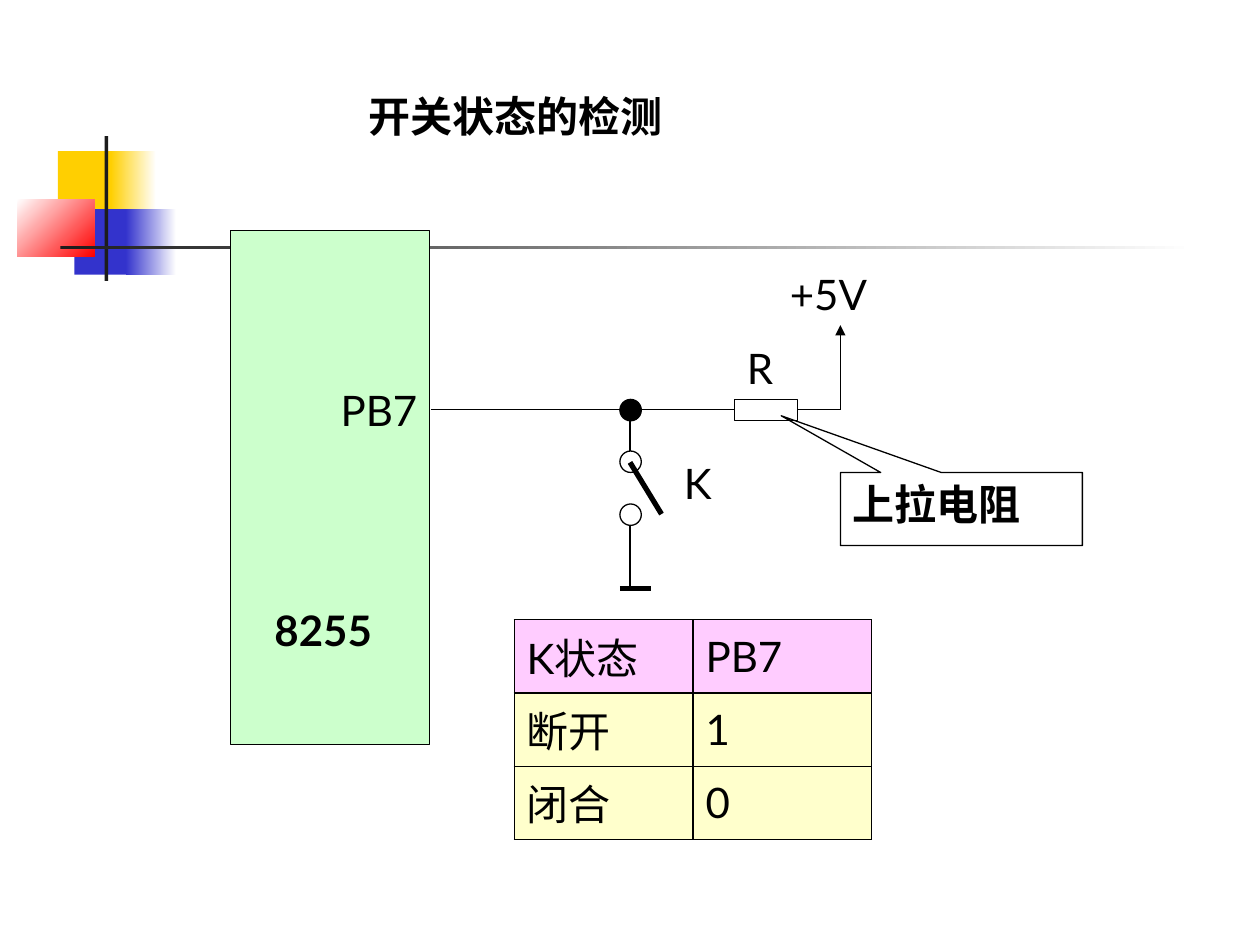
from lxml import etree
from pptx import Presentation
from pptx.dml.color import RGBColor
from pptx.enum import shapes, text
from pptx.oxml import parse_xml
from pptx.oxml.ns import nsdecls, qn
from pptx.util import Inches, Pt

BLACK = RGBColor(0x00, 0x00, 0x00)
WHITE = RGBColor(0xFF, 0xFF, 0xFF)
CHARCOAL = RGBColor(0x1C, 0x1C, 0x1C)
GOLD = RGBColor(0xFF, 0xCF, 0x01)
BLUE = RGBColor(0x33, 0x33, 0xCC)
RED = RGBColor(0xFF, 0x00, 0x00)
GREEN = RGBColor(0xCC, 0xFF, 0xCC)
PINK = RGBColor(0xFF, 0xCC, 0xFF)
CREAM = RGBColor(0xFF, 0xFF, 0xCC)
SHAPE = shapes.MSO_SHAPE
WIRE, THICK = 0.75, 3

presentation = Presentation()
presentation.slide_width = Inches(10)
presentation.slide_height = Inches(7.5)
slide = presentation.slides.add_slide(presentation.slide_layouts[6])


def add_outlined(kind, box, fill=None):
    shape = slide.shapes.add_shape(kind, *map(Inches, box))
    shape.shadow.inherit = False
    if fill is None:
        shape.fill.background()
    else:
        shape.fill.solid()
        shape.fill.fore_color.rgb = fill
    shape.line.color.rgb = BLACK
    shape.line.width = Pt(WIRE)
    return shape


def write(frame, wording, bold=False, align=text.PP_ALIGN.LEFT):
    frame.word_wrap = True
    paragraph = frame.paragraphs[0]
    paragraph.text = wording
    paragraph.alignment = align
    paragraph.font.name = "Lato"
    paragraph.font.size = Pt(24)
    paragraph.font.bold = bold
    paragraph.font.color.rgb = BLACK


# Corner ornament: box, start colour, end colour, gradient angle
ornament = [
    ((0.46, 1.2, 0.48, 0.52), GOLD, GOLD, 0),
    ((0.88, 1.2, 0.36, 0.52), GOLD, WHITE, 0),
    ((0.59, 1.66, 0.46, 0.52), BLUE, BLUE, 0),
    ((1, 1.66, 0.4, 0.52), BLUE, WHITE, 0),
    ((0.14, 1.58, 0.61, 0.46), WHITE, RED, 315),
    ((0.83, 1.08, 0.03, 1.15), CHARCOAL, CHARCOAL, 0),
    ((0.48, 1.95, 9, 0.03), CHARCOAL, WHITE, 0),
]
for box, start, end, angle in ornament:
    block = add_outlined(SHAPE.RECTANGLE, box, start)
    block.line.fill.background()
    if start != end:
        block.fill.gradient()
        block.fill.gradient_angle = angle
        for stop, color in zip(block.fill.gradient_stops, (start, end)):
            stop.color.rgb = color

# Chip, switch contacts, resistor and junction
add_outlined(SHAPE.RECTANGLE, (1.83, 1.83, 1.58, 4.08), GREEN)
for top in (3.58, 4):
    add_outlined(SHAPE.OVAL, (4.92, top, 0.17, 0.17))
add_outlined(SHAPE.RECTANGLE, (5.83, 3.17, 0.5, 0.17))
add_outlined(SHAPE.OVAL, (4.92, 3.17, 0.17, 0.17), BLACK)

# Wires: start, end, width
wires = [
    ((3.42, 3.25), (4.42, 3.25), WIRE),
    ((4.33, 3.25), (5.83, 3.25), WIRE),
    ((6.33, 3.25), (6.67, 3.25), WIRE),
    ((5, 3.58), (5, 3.25), WIRE),
    ((5, 3.67), (5.25, 4.08), THICK),
    ((5, 4.17), (5, 4.67), WIRE),
    ((4.92, 4.67), (5.17, 4.67), THICK),
    ((6.67, 3.25), (6.67, 2.58), WIRE),
]
for start, end, width in wires:
    wire = slide.shapes.add_connector(
        shapes.MSO_CONNECTOR.STRAIGHT, *map(Inches, start + end))
    wire.line.color.rgb = BLACK
    wire.line.width = Pt(width)
    etree.SubElement(wire._element.spPr, qn("a:effectLst"))
# The last wire is the supply
etree.SubElement(wire.line._get_or_add_ln(), qn("a:tailEnd"), type="triangle")

# Title and circuit labels
labels = [
    ("开关状态的检测", (2.83, 0.67, 3.75, 0.5), True, text.PP_ALIGN.LEFT),
    ("PB7", (2.33, 3, 1.08, 0.5), False, text.PP_ALIGN.RIGHT),
    ("8255", (2.08, 4.75, 1.17, 0.5), True, text.PP_ALIGN.LEFT),
    ("R", (5.83, 2.67, 0.67, 0.5), False, text.PP_ALIGN.LEFT),
    ("+5V", (6.17, 2.08, 1.08, 0.5), False, text.PP_ALIGN.LEFT),
    ("K", (5.33, 3.58, 0.5, 0.5), False, text.PP_ALIGN.LEFT),
]
for wording, box, bold, align in labels:
    label = slide.shapes.add_textbox(*map(Inches, box))
    write(label.text_frame, wording, bold, align)

callout = add_outlined(SHAPE.RECTANGULAR_CALLOUT, (6.67, 3.75, 1.92, 0.58))
callout.adjustments[0] = -0.745
callout.adjustments[1] = -1.277
callout.text_frame.vertical_anchor = text.MSO_ANCHOR.TOP
write(callout.text_frame, "上拉电阻", bold=True)

# Switch state table
states = [("K状态", "PB7"), ("断开", "1"), ("闭合", "0")]
table = slide.shapes.add_table(
    3, 2, Inches(4.08), Inches(4.92), Inches(2.84), Inches(1.74)).table
for row, values in enumerate(states):
    table.rows[row].height = Inches(0.58)
    for column, wording in enumerate(values):
        cell = table.cell(row, column)
        cell.margin_top = cell.margin_bottom = 0
        cell.vertical_anchor = text.MSO_ANCHOR.MIDDLE
        write(cell.text_frame, wording)
        properties = cell._tc.get_or_add_tcPr()
        for side in ("lnL", "lnR", "lnT", "lnB"):
            properties.append(parse_xml(
                f'<a:{side} {nsdecls("a")} w="{Pt(WIRE)}"><a:solidFill>'
                f'<a:srgbClr val="{BLACK}"/></a:solidFill></a:{side}>'))
        cell.fill.solid()
        cell.fill.fore_color.rgb = PINK if row == 0 else CREAM

presentation.save("out.pptx")
